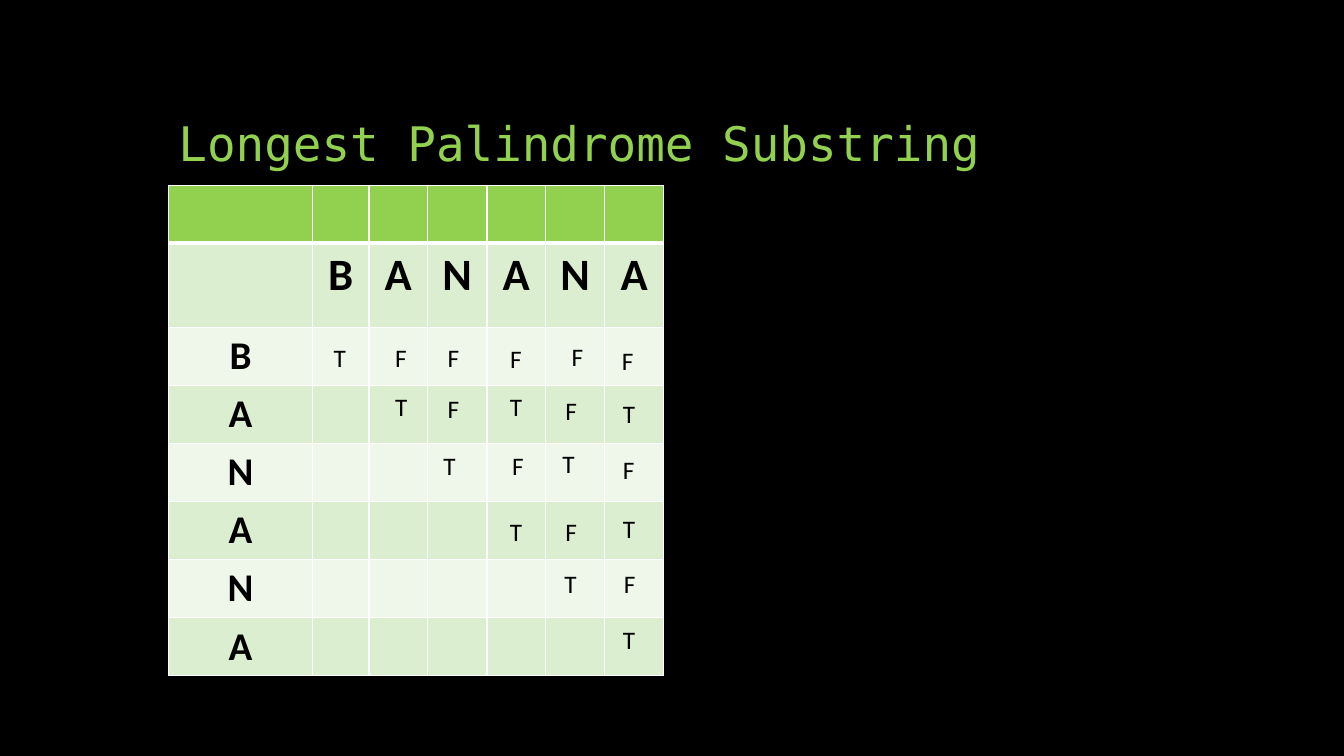
import lxml.etree
import pptx
import pptx.dml.color
import pptx.enum.text
import pptx.oxml.ns
import pptx.util

Inches = pptx.util.Inches
Pt = pptx.util.Pt
RGBColor = pptx.dml.color.RGBColor
PP_ALIGN = pptx.enum.text.PP_ALIGN
MSO_ANCHOR = pptx.enum.text.MSO_ANCHOR
MSO_AUTO_SIZE = pptx.enum.text.MSO_AUTO_SIZE

TITLE = "Longest Palindrome Substring"
WORD = "BANANA"
# One list per start letter: mark, left, top of each end letter
MARKS = [
    [("T", 3.21, 3.35), ("F", 3.82, 3.35), ("F", 4.34, 3.35),
     ("F", 4.96, 3.36), ("F", 5.57, 3.34), ("F", 6.07, 3.38)],
    [("T", 3.82, 3.83), ("F", 4.34, 3.85), ("T", 4.96, 3.83),
     ("F", 5.51, 3.87), ("T", 6.08, 3.9)],
    [("T", 4.3, 4.42), ("F", 4.98, 4.42), ("T", 5.48, 4.4), ("F", 6.08, 4.46)],
    [("T", 4.96, 5.07), ("F", 5.51, 5.07), ("T", 6.08, 5.04)],
    [("T", 5.5, 5.59), ("F", 6.09, 5.59)],
    [("T", 6.08, 6.14)],
]
MARK_WIDTHS = {"T": 0.33, "F": 0.32}
COLUMN_WIDTHS = [1.43, 0.56, 0.58, 0.59, 0.58, 0.59, 0.58]
ROW_HEIGHTS = [0.57, 0.84] + [0.57] * len(WORD)

BLACK = RGBColor(0x00, 0x00, 0x00)
WHITE = RGBColor(0xFF, 0xFF, 0xFF)
GREEN = RGBColor(0x92, 0xD0, 0x50)
BAND_DARK = RGBColor(0xDC, 0xEE, 0xD0)
BAND_LIGHT = RGBColor(0xEE, 0xF7, 0xE9)

TITLE_FORMAT = {"name": "DejaVu Sans Mono", "size": Pt(34)}
COLUMN_FORMAT = {"name": "Calibri", "size": Pt(32), "bold": True}
ROW_FORMAT = {"name": "Calibri", "size": Pt(28), "bold": True}
MARK_FORMAT = {"name": "Calibri", "size": Pt(18)}


def write(text_frame, text, font_format, color, alignment):
    paragraph = text_frame.paragraphs[0]
    paragraph.alignment = alignment
    run = paragraph.add_run()
    run.text = text
    for name, value in font_format.items():
        setattr(run.font, name, value)
    run.font.color.rgb = color
    return paragraph


def add_borders(cell, widths):
    """Draw white cell borders; widths maps side tags to points."""
    properties = cell._tc.get_or_add_tcPr()
    for side, width in widths.items():
        line = lxml.etree.SubElement(
            properties, pptx.oxml.ns.qn("a:" + side), w=str(Pt(width)))
        fill = lxml.etree.SubElement(line, pptx.oxml.ns.qn("a:solidFill"))
        lxml.etree.SubElement(
            fill, pptx.oxml.ns.qn("a:srgbClr"), val=str(WHITE))


def add_title(slide):
    title = slide.shapes.title
    title.left, title.top = Inches(1.67), Inches(0.5)
    title.width, title.height = Inches(10), Inches(1.25)
    frame = title.text_frame
    frame.auto_size = MSO_AUTO_SIZE.NONE
    frame.vertical_anchor = MSO_ANCHOR.BOTTOM
    paragraph = write(frame, TITLE, TITLE_FORMAT, GREEN, PP_ALIGN.LEFT)
    paragraph.line_spacing = 0.9


def add_letter_table(slide):
    table = slide.shapes.add_table(
        len(ROW_HEIGHTS), len(COLUMN_WIDTHS), Inches(1.67), Inches(1.84),
        Inches(sum(COLUMN_WIDTHS)), Inches(sum(ROW_HEIGHTS))).table
    for column, width in zip(table.columns, COLUMN_WIDTHS):
        column.width = Inches(width)
    for row_index, (row, height) in enumerate(zip(table.rows, ROW_HEIGHTS)):
        row.height = Inches(height)
        band = BAND_DARK if row_index % 2 else BAND_LIGHT
        for cell in row.cells:
            add_borders(cell, {"lnL": 1, "lnR": 1,
                               "lnT": 3 if row_index == 1 else 1,
                               "lnB": 3 if row_index == 0 else 1})
            cell.fill.solid()
            cell.fill.fore_color.rgb = band if row_index else GREEN
    for index, letter in enumerate(WORD):
        write(table.cell(1, index + 1).text_frame, letter,
              COLUMN_FORMAT, BLACK, PP_ALIGN.CENTER)
        write(table.cell(index + 2, 0).text_frame, letter,
              ROW_FORMAT, BLACK, PP_ALIGN.CENTER)


def add_mark(slide, mark, left, top):
    box = slide.shapes.add_textbox(
        Inches(left), Inches(top), Inches(MARK_WIDTHS[mark]), Inches(0.4))
    box.text_frame.word_wrap = False
    box.text_frame.auto_size = MSO_AUTO_SIZE.SHAPE_TO_FIT_TEXT
    write(box.text_frame, mark, MARK_FORMAT, BLACK, PP_ALIGN.LEFT)


def main():
    presentation = pptx.Presentation()
    presentation.slide_width = Inches(13.33)
    presentation.slide_height = Inches(7.5)
    slide = presentation.slides.add_slide(presentation.slide_layouts[5])
    slide.background.fill.solid()
    slide.background.fill.fore_color.rgb = BLACK
    add_title(slide)
    add_letter_table(slide)
    for row in MARKS:
        for mark, left, top in row:
            add_mark(slide, mark, left, top)
    presentation.save("out.pptx")


if __name__ == "__main__":
    main()
